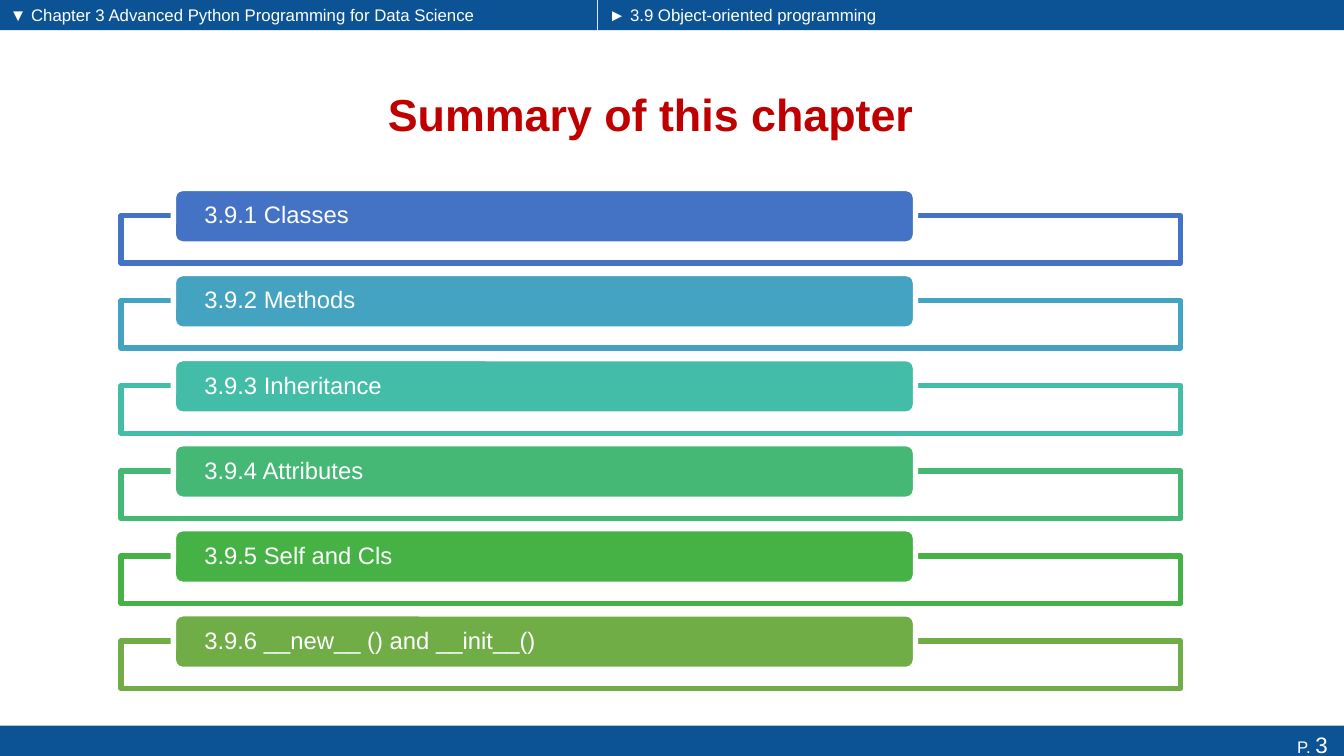
"""Build the chapter summary slide with its six framed topics."""
from pptx import Presentation
from pptx import util as u
from pptx.dml.color import RGBColor
from pptx.enum import shapes, text

WIDE, HIGH = 13.33, 7.5
BLUE, RED, WHITE = "0B5394", "C00000", "FFFFFF"
TITLE = "Summary of this chapter"
PAGE = [("P. ", 12), ("3", 16)]
HEADS = [
    ("▼ Chapter 3 Advanced Python Programming for Data Science", 0, 5.2),
    ("► 3.9 Object-oriented programming", 5.94, 3.6),
]
BARS = [(0, 0, 5.92, 0.3), (5.93, 0, 7.4, 0.3), (0, 7.2, WIDE, 0.37)]
TOPICS = [
    ("3.9.1 Classes", "4472C4"),
    ("3.9.2 Methods", "44A3C0"),
    ("3.9.3 Inheritance", "43BDA7"),
    ("3.9.4 Attributes", "44B874"),
    ("3.9.5 Self and Cls", "46B246"),
    ("3.9.6 __new__ () and __init__()", "70AD47"),
]
TOP, LAST, DROP = 1.87, 6.09, 0.27
STEP = (LAST - TOP) / (len(TOPICS) - 1)
RECT = shapes.MSO_SHAPE.RECTANGLE
ROUND = shapes.MSO_SHAPE.ROUNDED_RECTANGLE


def paint(part, color):
    part.solid()
    part.fore_color.rgb = RGBColor.from_string(color)


def style(font, size, color=WHITE, bold=False):
    font.name, font.size, font.bold = "Arial", u.Pt(size), bold
    font.color.rgb = RGBColor.from_string(color)


def block(slide, kind, box, fill, line=None):
    shape = slide.shapes.add_shape(kind, *map(u.Inches, box))
    shape.shadow.inherit = False
    paint(shape.fill, fill)
    if line:
        paint(shape.line.fill, line)
        shape.line.width = u.Pt(3.78)
    else:
        shape.line.fill.background()
    return shape


def head(slide, words, left, width):
    box = slide.shapes.add_textbox(*map(u.Inches, (left, 0, width, 0.29)))
    box.text_frame.word_wrap = True
    para = box.text_frame.paragraphs[0]
    para.text = words
    style(para.font, 12)


def topic(slide, row, words, color):
    top = TOP + row * STEP
    block(slide, RECT, (1.2, top + DROP, 10.51, 0.47), WHITE, color)
    pill = block(slide, ROUND, (1.72, top, 7.36, 0.55), color, WHITE)
    frame = pill.text_frame
    frame.margin_left = frame.margin_right = u.Inches(0.28)
    frame.margin_top = frame.margin_bottom = 0
    para = frame.paragraphs[0]
    para.text, para.alignment = words, text.PP_ALIGN.LEFT
    para.line_spacing = 0.9
    style(para.font, 17)


def main():
    deck = Presentation()
    deck.slide_width, deck.slide_height = u.Inches(WIDE), u.Inches(HIGH)
    slide = deck.slides.add_slide(deck.slide_layouts[5])

    for box in BARS:
        bar = block(slide, RECT, box, BLUE)
    bar.text_frame.margin_right = u.Inches(0.16)
    para = bar.text_frame.paragraphs[0]
    para.alignment = text.PP_ALIGN.RIGHT
    for words, size in PAGE:
        run = para.add_run()
        run.text = words
        style(run.font, size)

    title = slide.shapes.title
    title.left, title.top, title.width, title.height = map(
        u.Inches, (2.51, 0.68, 7.89, 0.9))
    title.text_frame.vertical_anchor = text.MSO_ANCHOR.MIDDLE
    para = title.text_frame.paragraphs[0]
    para.text, para.alignment = TITLE, text.PP_ALIGN.CENTER
    style(para.font, 32, RED, True)

    for item in HEADS:
        head(slide, *item)
    for row, item in enumerate(TOPICS):
        topic(slide, row, *item)
    deck.save("out.pptx")


if __name__ == "__main__":
    main()
